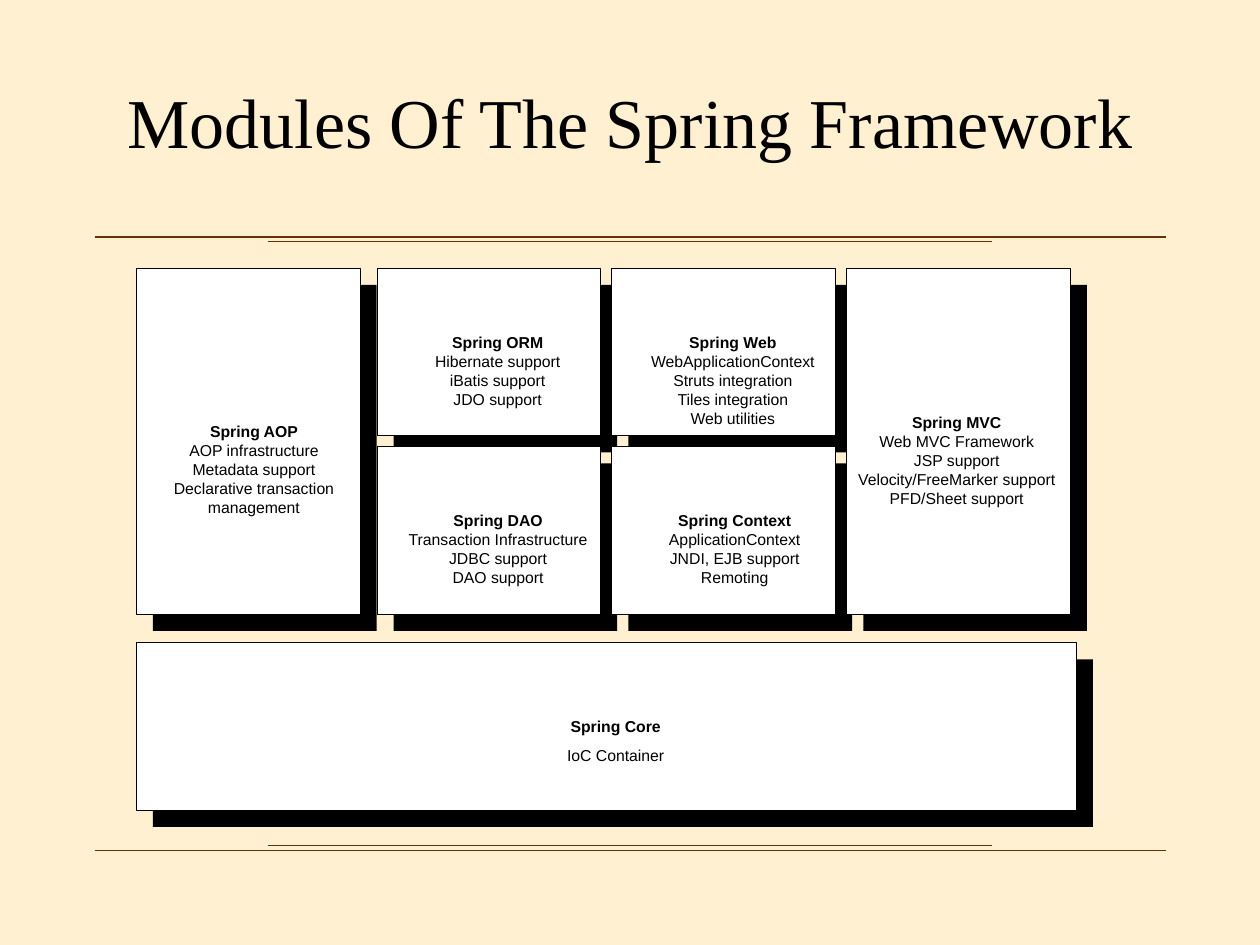
from pptx import Presentation
from pptx import util as u
from pptx.dml.color import RGBColor
from pptx.enum import shapes, text
from pptx.oxml.ns import qn
from lxml import etree

Pt = u.Pt
COLORS = {"background": "FFF0D1", "rule": "663300", "ink": "000000", "paper": "FFFFFF"}

# Content
TITLE = "Modules Of The Spring Framework"

# Geometry in points
AOP_LEFT, ORM_LEFT, COLUMN_STEP = 77.8, 215.3, 134.2
TOP, ROW_STEP, CORE_TOP = 153.2, 102, 367.2
WIDTH, HEIGHT = 127.8, 95.8
TALL = ROW_STEP + HEIGHT
SHADOW_OFFSET = 9.6
LINE_HEIGHT = 10.8
WEB_LEFT = ORM_LEFT + COLUMN_STEP
MVC_LEFT = WEB_LEFT + COLUMN_STEP
LOWER_TOP = TOP + ROW_STEP

# Heading, details, box, text shift (from box centre, from box top), text width, spacing
MODULES = [
    ("Spring AOP",
     ["AOP infrastructure", "Metadata support", "Declarative transaction", "management"],
     (AOP_LEFT, TOP, WIDTH, TALL), (3.4, 88), 95, 0),
    ("Spring Core", ["IoC Container"],
     (AOP_LEFT, CORE_TOP, 537.2, HEIGHT), (5.4, 42.5), 59, 5.6),
    ("Spring ORM", ["Hibernate support", "iBatis support", "JDO support"],
     (ORM_LEFT, TOP, WIDTH, HEIGHT), (5.2, 36.8), 75, 0),
    ("Spring Web",
     ["WebApplicationContext", "Struts integration", "Tiles integration", "Web utilities"],
     (WEB_LEFT, TOP, WIDTH, HEIGHT), (5.4, 36.8), 97, 0),
    ("Spring DAO", ["Transaction Infrastructure", "JDBC support", "DAO support"],
     (ORM_LEFT, LOWER_TOP, WIDTH, HEIGHT), (5.4, 36.8), 106, 0),
    ("Spring Context", ["ApplicationContext", "JNDI, EJB support", "Remoting"],
     (WEB_LEFT, LOWER_TOP, WIDTH, HEIGHT), (6.4, 36.8), 79, 0),
    ("Spring MVC",
     ["Web MVC Framework", "JSP support", "Velocity/FreeMarker support", "PFD/Sheet support"],
     (MVC_LEFT, TOP, WIDTH, TALL), (-0.9, 82.8), 116, 0),
]

# Left, right, height on the slide, line width
RULES = [
    (54, 666, 486, 1), (153, 567, 483.2, 0.75),
    (54, 666, 135.4, 1), (153, 567, 138, 0.75),
]


def color(name):
    return RGBColor.from_string(COLORS[name])


def apply(target, **values):
    for name, value in values.items():
        setattr(target, name, value)


def add_rule(slide, left, right, y, width):
    connector = slide.shapes.add_connector(
        shapes.MSO_CONNECTOR.STRAIGHT, Pt(left), Pt(y), Pt(right), Pt(y))
    connector.line.color.rgb = color("rule")
    connector.line.width = Pt(width)
    etree.SubElement(connector.element.spPr, qn("a:effectLst"))


def add_box(slide, left, top, width, height, fill, outlined):
    shape = slide.shapes.add_shape(
        shapes.MSO_SHAPE.RECTANGLE, Pt(left), Pt(top), Pt(width), Pt(height))
    shape.shadow.inherit = False
    shape.fill.solid()
    shape.fill.fore_color.rgb = color(fill)
    if outlined:
        shape.line.color.rgb = color("ink")
        shape.line.width = Pt(0.25)
    else:
        shape.line.fill.background()


def add_text(slide, box, lines, font, size, spacing=0, bold_first=False, **frame_format):
    frame = slide.shapes.add_textbox(*map(Pt, box)).text_frame
    apply(frame, **frame_format)
    for index, line in enumerate(lines):
        paragraph = frame.add_paragraph() if index else frame.paragraphs[0]
        apply(paragraph, text=line, alignment=text.PP_ALIGN.CENTER)
        if index and spacing:
            paragraph.space_before = Pt(spacing)
        apply(paragraph.font, name=font, size=Pt(size), bold=bold_first and index == 0)
        paragraph.font.color.rgb = color("ink")


def add_module(slide, heading, details, box, shift, text_width, spacing):
    left, top, width, height = box
    # Black offset panel behind a white panel
    add_box(slide, left + SHADOW_OFFSET, top + SHADOW_OFFSET, width, height, "ink", False)
    add_box(slide, *box, "paper", True)
    # Heading and details
    text_box = (left + width / 2 + shift[0] - text_width / 2, top + shift[1], text_width,
                LINE_HEIGHT * (len(details) + 1) + spacing)
    add_text(slide, text_box, [heading, *details], "Arial", 9, spacing, True,
             word_wrap=False, auto_size=text.MSO_AUTO_SIZE.SHAPE_TO_FIT_TEXT,
             margin_left=0, margin_right=0, margin_top=0, margin_bottom=0)


def main():
    presentation = Presentation()
    apply(presentation, slide_width=Pt(720), slide_height=Pt(540))
    slide = presentation.slides.add_slide(presentation.slide_layouts[6])
    slide.background.fill.solid()
    slide.background.fill.fore_color.rgb = color("background")

    # Rules above and below the diagram
    for rule in RULES:
        add_rule(slide, *rule)

    # Title
    add_text(slide, (54, 24, 612, 90), [TITLE], "Times New Roman", 40,
             word_wrap=True, vertical_anchor=text.MSO_ANCHOR.MIDDLE)

    # Modules
    for module in MODULES:
        add_module(slide, *module)

    presentation.save("out.pptx")


if __name__ == "__main__":
    main()
